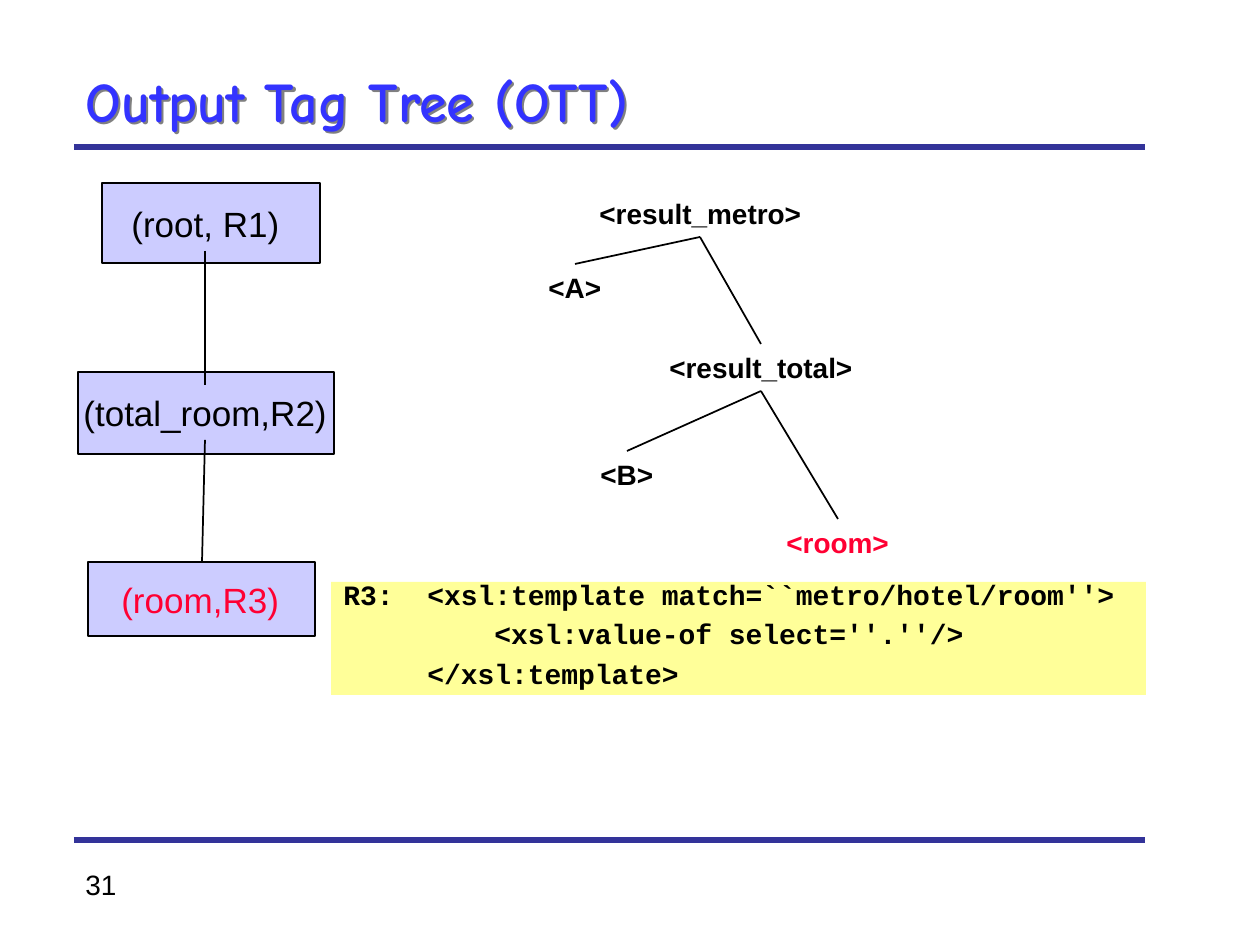
"""Build the Output Tag Tree (OTT) slide."""
from lxml.etree import SubElement
from pptx import Presentation
from pptx.dml.color import RGBColor
from pptx.enum.shapes import MSO_CONNECTOR as CONN, MSO_SHAPE as SHAPE
from pptx.enum.text import MSO_ANCHOR as ANCHOR, MSO_AUTO_SIZE as AUTO
from pptx.oxml import parse_xml
from pptx.oxml.ns import nsdecls, qn
from pptx.util import Pt

PX = 914400 / 126
BLACK = RGBColor(0x00, 0x00, 0x00)
RED = RGBColor(0xFF, 0x00, 0x33)
BLUE = RGBColor(0x33, 0x33, 0xFF)
NAVY = RGBColor(0x33, 0x33, 0x99)
LILAC = RGBColor(0xCC, 0xCC, 0xFF)
YELLOW = RGBColor(0xFF, 0xFF, 0x99)

prs = Presentation()
prs.slide_width = round(1260 * PX)
prs.slide_height = round(945 * PX)
s = prs.slides.add_slide(prs.slide_layouts[6])


def add_text(text, box, size, color=BLACK, bold=False, font="Arial", wrap=False):
    sp = s.shapes.add_textbox(*[round(v * PX) for v in box])
    tf = sp.text_frame
    tf.word_wrap = wrap
    tf.auto_size = AUTO.SHAPE_TO_FIT_TEXT
    tf.text = text
    for p in tf.paragraphs:
        for r in p.runs:
            r.font.size = Pt(size)
            r.font.name = font
            r.font.bold = bold
            r.font.color.rgb = color
    return sp


def add_line(ends, color=BLACK, width=1):
    ln = s.shapes.add_connector(CONN.STRAIGHT, *[round(v * PX) for v in ends])
    ln.line.color.rgb = color
    ln.line.width = Pt(width)
    SubElement(ln._element.spPr, qn("a:effectLst"))


add_text("31", (73, 861, 306, 46), 16, wrap=True)
for y in (147, 840):
    add_line((74, y, 1145, y), NAVY, 3.25)

title = add_text("Output Tag Tree (OTT)", (73, 63, 1060, 84), 32, BLUE, True, "Comic Neue", True)
tf = title.text_frame
tf.auto_size = AUTO.NONE
tf.vertical_anchor = ANCHOR.MIDDLE
tf.paragraphs[0].line_spacing = 0.85
title._element.spPr.append(parse_xml(
    f'<a:effectLst {nsdecls("a")}><a:outerShdw dist="{round(3 * PX)}" dir="2700000">'
    '<a:srgbClr val="808080"/></a:outerShdw></a:effectLst>'))

tags = [
    ("<result_metro>", 587, 190, 231, BLACK),
    ("<A>", 536, 264, 82, BLACK),
    ("<result_total>", 657, 344, 212, BLACK),
    ("<B>", 588, 451, 82, BLACK),
    ("<room>", 774, 519, 132, RED),
]
for text, x, y, w, color in tags:
    add_text(text, (x, y, w, 46), 16, color, True)

branches = [
    (700, 237, 575, 264),
    (700, 237, 761, 344),
    (761, 391, 627, 451),
    (761, 391, 838, 519),
]
for ends in branches:
    add_line(ends)

code = add_text(
    "R3:\t<xsl:template match=``metro/hotel/room''>\n"
    "<xsl:value-of select=''.''/>\n"
    "</xsl:template>",
    (331, 582, 815, 113), 16, BLACK, True, "Courier New", True)
code.fill.solid()
code.fill.fore_color.rgb = YELLOW
for p, margin, indent in zip(code.text_frame.paragraphs, (84, 151, 84), (-84, 0, 0)):
    p.line_spacing = 0.65
    p.space_before = Pt(10)
    pPr = p._p.get_or_add_pPr()
    pPr.set("marL", str(round(margin * PX)))
    pPr.set("indent", str(round(indent * PX)))

nodes = [
    ("(root, R1)", (102, 183, 218, 80), (119, 196, 178, 55), BLACK),
    ("(total_room,R2)", (78, 372, 256, 82), (71, 385, 274, 55), BLACK),
    ("(room,R3)", (88, 562, 227, 74), (109, 572, 188, 55), RED),
]
for text, box, label, color in nodes:
    sp = s.shapes.add_shape(SHAPE.RECTANGLE, *[round(v * PX) for v in box])
    sp.shadow.inherit = False
    sp.fill.solid()
    sp.fill.fore_color.rgb = LILAC
    sp.line.color.rgb = BLACK
    sp.line.width = Pt(1)
    add_text(text, label, 20, color)

for ends in ((205, 251, 205, 385), (205, 440, 202, 562)):
    add_line(ends)

prs.save("out.pptx")
